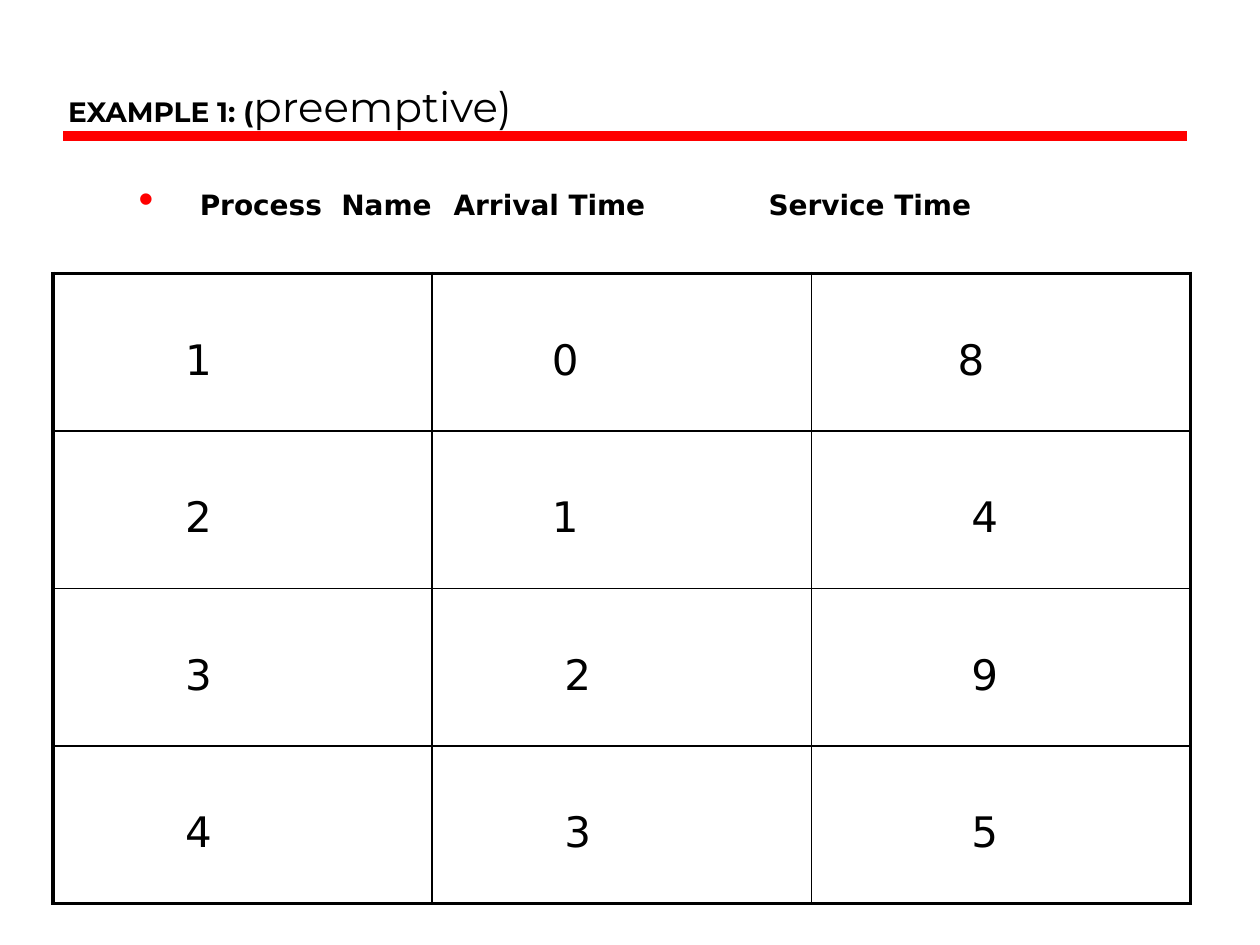
import pptx
import pptx.dml.color
import pptx.enum.shapes
import pptx.enum.text
import pptx.oxml.ns
import pptx.util
from lxml import etree
from pptx.util import Inches

BLACK = pptx.dml.color.RGBColor(0, 0, 0)
RED = pptx.dml.color.RGBColor(255, 0, 0)
TITLE_FONT = "Montserrat"
BODY_FONT = "DejaVu Sans"
LARGE, SMALL = pptx.util.Pt(24), pptx.util.Pt(16)
THICK, THIN = pptx.util.Pt(2.25), pptx.util.Pt(1)

# Content
TITLE = [("EXAMPLE 1: (", SMALL, True), ("preemptive)", LARGE, False)]
# One leading large space sets the line height of the headings
HEADINGS = [(" ", LARGE, False),
            ("Process  Name\tArrival Time\t\tService Time", SMALL, True)]
PROCESSES = [(1, 0, 8), (2, 1, 4), (3, 2, 9), (4, 3, 5)]
# Left indent of each value, in inches
INDENTS = [(0.95, 0.85, 1.06), (0.95, 0.85, 1.17),
           (0.95, 0.95, 1.17), (0.95, 0.95, 1.17)]


def add_xml(parent, tag, **attributes):
    return etree.SubElement(parent, pptx.oxml.ns.qn(tag), attributes)


def place(box, left, top, width, height):
    box.left, box.top = Inches(left), Inches(top)
    box.width, box.height = Inches(width), Inches(height)


def write_spans(para, spans, font_name):
    para.font.name = font_name
    para.font.color.rgb = BLACK
    for text, size, bold in spans:
        span = para.add_run()
        span.text = text
        span.font.size, span.font.bold = size, bold


def add_borders(cell, widths):
    properties = cell._tc.get_or_add_tcPr()
    for side, width in widths.items():
        line = add_xml(properties, f"a:ln{side}", w=str(int(width)))
        add_xml(add_xml(line, "a:solidFill"), "a:srgbClr", val=str(BLACK))


deck = pptx.Presentation()
deck.slide_width, deck.slide_height = Inches(10), Inches(7.5)
page = deck.slides.add_slide(deck.slide_layouts[1])

# Rule under the title
rule = page.shapes.add_connector(
    pptx.enum.shapes.MSO_CONNECTOR.STRAIGHT,
    Inches(0.5), Inches(1.08), Inches(9.42), Inches(1.08))
rule.line.color.rgb = RED
rule.line.width = pptx.util.Pt(6)
add_xml(rule._element.spPr, "a:effectLst")

# Title
title = page.shapes.title
place(title, 0.44, 0.17, 8.97, 0.92)
title.text_frame.auto_size = pptx.enum.text.MSO_AUTO_SIZE.NONE
title.text_frame.vertical_anchor = pptx.enum.text.MSO_ANCHOR.BOTTOM
para = title.text_frame.paragraphs[0]
para.alignment = pptx.enum.text.PP_ALIGN.LEFT
write_spans(para, TITLE, TITLE_FONT)

# Column headings
body = page.placeholders[1]
place(body, 1, 1.33, 8.08, 0.67)
body.text_frame.auto_size = pptx.enum.text.MSO_AUTO_SIZE.NONE
para = body.text_frame.paragraphs[0]
para.space_before = pptx.util.Pt(0)
properties = para._p.get_or_add_pPr()
properties.set("marL", str(Inches(0.38)))
properties.set("indent", str(Inches(-0.38)))
add_xml(add_xml(properties, "a:buClr"), "a:srgbClr", val=str(RED))
add_xml(properties, "a:buChar", char="•")
write_spans(para, HEADINGS, BODY_FONT)

# Process table: thick frame, thin inner lines
row_count, column_count = len(PROCESSES), len(PROCESSES[0])
table = page.shapes.add_table(
    row_count, column_count,
    Inches(0.42), Inches(2.17), Inches(9.03), Inches(5)).table
table.first_row = table.horz_banding = False
for r, values in enumerate(PROCESSES):
    for c, value in enumerate(values):
        cell = table.cell(r, c)
        add_borders(cell, {
            "L": THICK if c == 0 else THIN,
            "R": THICK if c == column_count - 1 else THIN,
            "T": THICK if r == 0 else THIN,
            "B": THICK if r == row_count - 1 else THIN,
        })
        cell.fill.background()
        cell.margin_top = Inches(0.5)
        para = cell.text_frame.paragraphs[0]
        para._p.get_or_add_pPr().set("marL", str(Inches(INDENTS[r][c])))
        write_spans(para, [(str(value), LARGE, False)], BODY_FONT)

deck.save("out.pptx")
